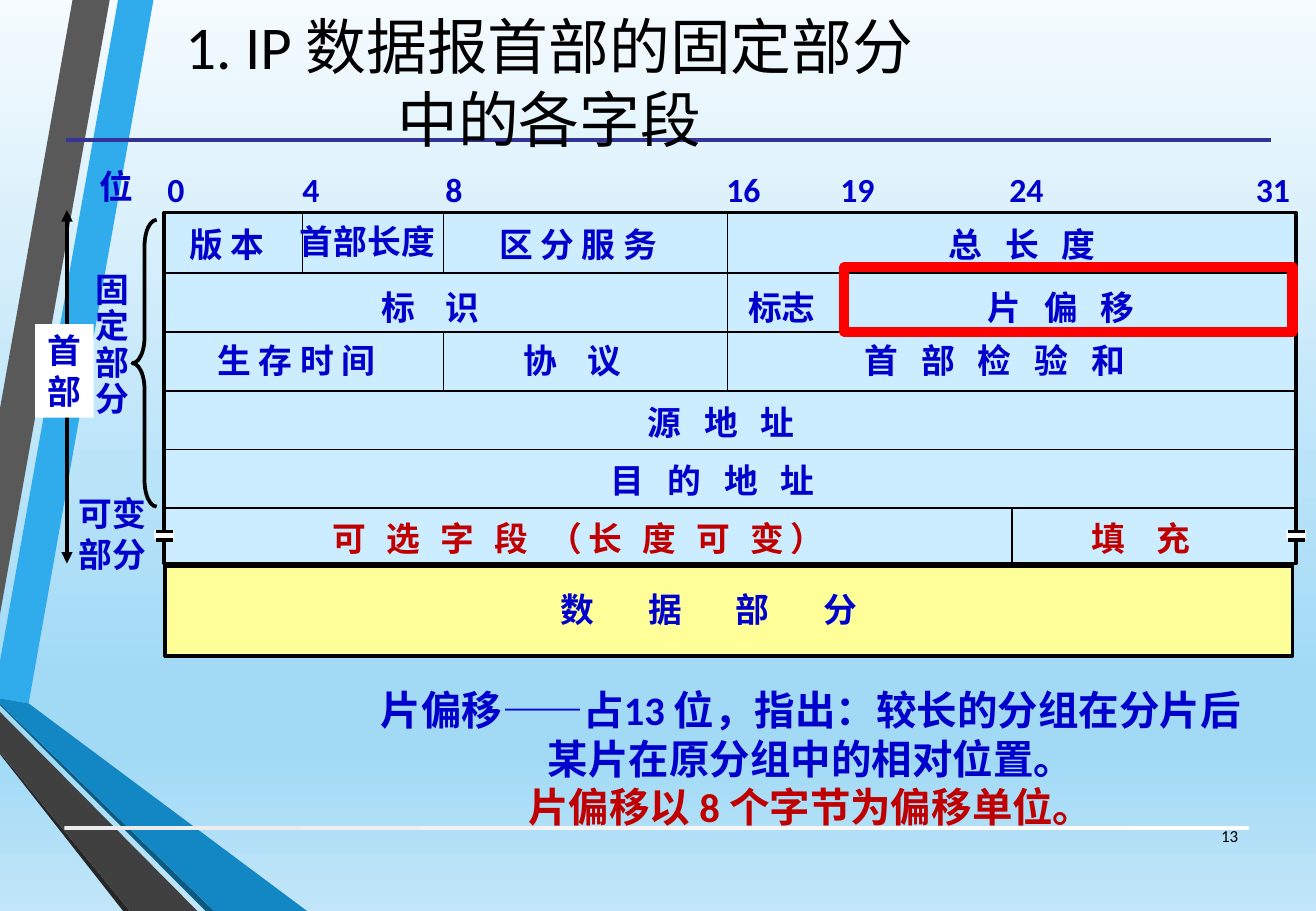
from lxml.etree import SubElement
from pptx import Presentation
from pptx.dml.color import RGBColor
from pptx.enum.shapes import MSO_CONNECTOR, MSO_SHAPE
from pptx.enum.text import MSO_ANCHOR, MSO_AUTO_SIZE, PP_ALIGN
from pptx.oxml.ns import qn
from pptx.util import Pt

THEME = {
    "blue": "0000CC", "red": "C00000", "black": "000000", "white": "FFFFFF",
    "cell": "CCECFF", "data": "FFFF99", "frame": "FF0000", "rule": "333399",
    "sky": [(0, "F5FBFE"), (74, "A2DAF6"), (83, "A2DAF6"), (100, "C1E6F9")],
    "silver": [(0, "EBEBEB"), (100, "FFFFFF")],
    "font": "Calibri", "title": 36, "note": 24, "label": 20, "number": 10,
}

presentation = Presentation()
presentation.slide_width, presentation.slide_height = Pt(780), Pt(540)
slide = presentation.slides.add_slide(presentation.slide_layouts[5])


def add_shape(kind, box, fill=None, line=None, width=1):
    shape = slide.shapes.add_shape(kind, *map(Pt, box))
    shape.shadow.inherit = False
    for target, colour in ((shape.fill, fill), (shape.line.fill, line)):
        if colour:
            target.solid()
            target.fore_color.rgb = RGBColor.from_string(colour)
        else:
            target.background()
    if line:
        shape.line.width = Pt(width)
    return shape


def add_line(start, end, colour=THEME["black"], width=1):
    line = slide.shapes.add_connector(MSO_CONNECTOR.STRAIGHT, *map(Pt, start + end))
    line.line.color.rgb = RGBColor.from_string(colour)
    line.line.width = Pt(width)
    SubElement(line.element.spPr, qn("a:effectLst"))
    return line


# Ribbons at the left edge
ribbons = [
    ("30ACEC", [(0, 392), (0, 414), (17, 417), (91, 0), (70, 0)]),
    ("595959", [(65, 0), (43, 0), (0, 242), (0, 364)]),
    ("262626", [(0, 446), (0, 447), (73, 540), (77, 540)]),
    ("0C5A82", [(0, 417), (0, 418), (122, 540), (127, 540)]),
    ("1287C3", [(0, 417), (127, 540), (182, 540), (17, 417), (0, 414)]),
    ("404040", [(0, 446), (77, 540), (117, 540), (0, 422)]),
]
for colour, points in ribbons:
    builder = slide.shapes.build_freeform(*points[0], scale=Pt(1))
    builder.add_line_segments(points[1:], close=True)
    ribbon = builder.convert_to_shape()
    ribbon.shadow.inherit = False
    ribbon.fill.solid()
    ribbon.fill.fore_color.rgb = RGBColor.from_string(colour)
    ribbon.line.fill.background()

# Gradients of the background and the bottom rule
bottom_rule = add_shape(MSO_SHAPE.RECTANGLE, (38.2, 489.6, 702, 2.2))
gradients = [
    (slide.background.fill, slide.element.cSld.find(qn("p:bg")), 270, THEME["sky"]),
    (bottom_rule.fill, bottom_rule.element, 0, THEME["silver"]),
]
for fill, element, angle, stops in gradients:
    fill.gradient()
    fill.gradient_angle = angle
    stop_list = next(element.iter(qn("a:gsLst")))
    stop_list.clear()
    for position, colour in stops:
        stop = SubElement(stop_list, qn("a:gs"), pos=str(position * 1000))
        SubElement(stop, qn("a:srgbClr"), val=colour)

# Title above its rule
add_line((38.9, 82.8), (753.1, 82.8), THEME["rule"], 2.25)
title = slide.shapes.title
title.element.getparent().append(title.element)
title.left, title.top, title.width, title.height = map(Pt, (31, 3.6, 589, 89.3))
title.text_frame.text = "1. IP 数据报首部的固定部分\v中的各字段"
title.text_frame.auto_size = MSO_AUTO_SIZE.NONE
title.text_frame.vertical_anchor = MSO_ANCHOR.MIDDLE
title_paragraph = title.text_frame.paragraphs[0]
title_paragraph.alignment = PP_ALIGN.CENTER
title_format = {"size": Pt(THEME["title"]), "name": THEME["font"], "bold": False}
for run in title_paragraph.runs:
    for name, value in title_format.items():
        setattr(run.font, name, value)
    run.font.color.rgb = RGBColor.from_string(THEME["black"])

# Header grid and data block
add_shape(MSO_SHAPE.RECTANGLE, (97.2, 126, 671, 208), THEME["cell"], THEME["black"], 2)
add_shape(MSO_SHAPE.RECTANGLE, (97.9, 335.5, 668.2, 53.3), THEME["data"], THEME["black"], 2.25)
row_lines = [126.7] + [162 + 34.8 * row for row in range(5)] + [335.5]
for y in row_lines[1:-1]:
    add_line((96.5, y), (769, y))
bit_lines = {4: 179.3, 8: 262.8, 16: 431.3, 19: 499.7, 24: 599.8}
for bit, first, last in [(4, 0, 1), (8, 0, 1), (8, 2, 3), (16, 0, 3), (19, 1, 2), (24, 5, 6)]:
    add_line((bit_lines[bit], row_lines[first]), (bit_lines[bit], row_lines[last]))

# Break marks on both sides of the variable row
for left in (91.6, 762.6):
    add_shape(MSO_SHAPE.RECTANGLE, (left, 314.3, 11.5, 5.4), THEME["white"])
    for y in (315, 320):
        add_line((left + 0.7, y), (left + 10.8, y), width=2)

# Header extent, brace and highlighted field
extent = add_line((39.7, 124.6), (39.7, 334), width=2.25)
outline = extent.element.spPr.find(qn("a:ln"))
for end in ("a:headEnd", "a:tailEnd"):
    SubElement(outline, qn(end), type="triangle")
brace = add_shape(MSO_SHAPE.LEFT_BRACE, (78.5, 130.3, 14.4, 170), None, THEME["black"], 2.25)
brace.adjustments[0], brace.adjustments[1] = 1.08, 0.5
add_shape(MSO_SHAPE.RECTANGLE, (500.4, 158.4, 265.7, 38.2), None, THEME["frame"], 6)

# Texts: wording, left, top, width, height, options
texts = [
    ("固\n定\n部\n分", 49.7, 158.4, 34.6, 94.3, {"line_spacing": 0.9}),
    ("可变\n部分", 39.6, 288.7, 54.7, 55.4, {}),
    ("首\n部", 20.9, 192.2, 34.6, 55.4, {"fill": THEME["white"]}),
    ("位", 51.8, 95, 34.6, 31, {}),
    ("首部长度", 170.6, 127.4, 95, 31, {}),
    ("数 据 部 分", 325.4, 345.6, 190, 31, {"spacing": 13.6}),
    ("片偏移——占13 位，指出：较长的分组在分片后\n某片在原分组中的相对位置。\n"
     "片偏移以 8 个字节为偏移单位。", 209.5, 402.5, 542.2, 94.3,
     {"size": THEME["note"], "alignment": PP_ALIGN.CENTER, "last": THEME["red"]}),
    ("13", 704.2, 481, 36.7, 28.8,
     {"size": THEME["number"], "bold": False, "colour": THEME["black"],
      "alignment": PP_ALIGN.RIGHT, "wrap": True}),
]
bit_numbers = [("0", 92.2), ("4", 172.1), ("8", 257), ("16", 423.4),
               ("19", 491), ("24", 591.1), ("31", 737.3)]
for number, left in bit_numbers:
    texts.append((number, left, 96.5, 15.8 + 10.4 * len(number), 31, {}))

# Field names by row: wording, left, width, letter spacing
field_rows = [
    (128.9, [("版 本", 105.1, 60.5, 0), ("区 分 服 务", 288.7, 112.3, 0),
             ("总 长 度", 555.1, 108.7, 4.5)]),
    (166.3, [("标 识", 218.9, 77, 6.8), ("标志", 436.3, 54.7, 0),
             ("片 偏 移", 578.2, 108.7, 4.5)]),
    (198, [("生 存 时 间", 121.7, 112.3, 0), ("协 议", 303.1, 77, 6.8),
           ("首 部 检 验 和", 505.4, 182.9, 4.5)]),
    (234.7, [("源 地 址", 376.6, 108.7, 4.5)]),
    (269.3, [("目 的 地 址", 355, 145.4, 4.5)]),
    (303.1, [("可 选 字 段 （长 度 可 变）", 190.1, 328.3, 3.7),
             ("填 充", 640.1, 77, 6.8)]),
]
for top, fields in field_rows:
    colour = THEME["red"] if top == field_rows[-1][0] else THEME["blue"]
    for wording, left, width, spacing in fields:
        texts.append((wording, left, top, width, 31, {"spacing": spacing, "colour": colour}))

for wording, left, top, width, height, options in texts:
    box = slide.shapes.add_textbox(*map(Pt, (left, top, width, height)))
    wrap = options.get("wrap", False)
    frame_format = {
        "text": wording, "word_wrap": wrap,
        "auto_size": MSO_AUTO_SIZE.NONE if wrap else MSO_AUTO_SIZE.SHAPE_TO_FIT_TEXT,
        "vertical_anchor": MSO_ANCHOR.MIDDLE if wrap else MSO_ANCHOR.TOP,
    }
    for name, value in frame_format.items():
        setattr(box.text_frame, name, value)
    if "fill" in options:
        box.fill.solid()
        box.fill.fore_color.rgb = RGBColor.from_string(options["fill"])
    font_format = {"name": THEME["font"], "size": Pt(options.get("size", THEME["label"])),
                   "bold": options.get("bold", True)}
    colours = [options.get("colour", THEME["blue"])] * len(box.text_frame.paragraphs)
    colours[-1] = options.get("last", colours[-1])
    for paragraph, colour in zip(box.text_frame.paragraphs, colours):
        paragraph.alignment = options.get("alignment", PP_ALIGN.LEFT)
        paragraph.line_spacing = options.get("line_spacing", 1.0)
        run = paragraph.runs[0]
        for name, value in font_format.items():
            setattr(run.font, name, value)
        run.font.color.rgb = RGBColor.from_string(colour)
        if options.get("spacing"):
            run._r.get_or_add_rPr().set("spc", str(round(options["spacing"] * 100)))

presentation.save("out.pptx")
